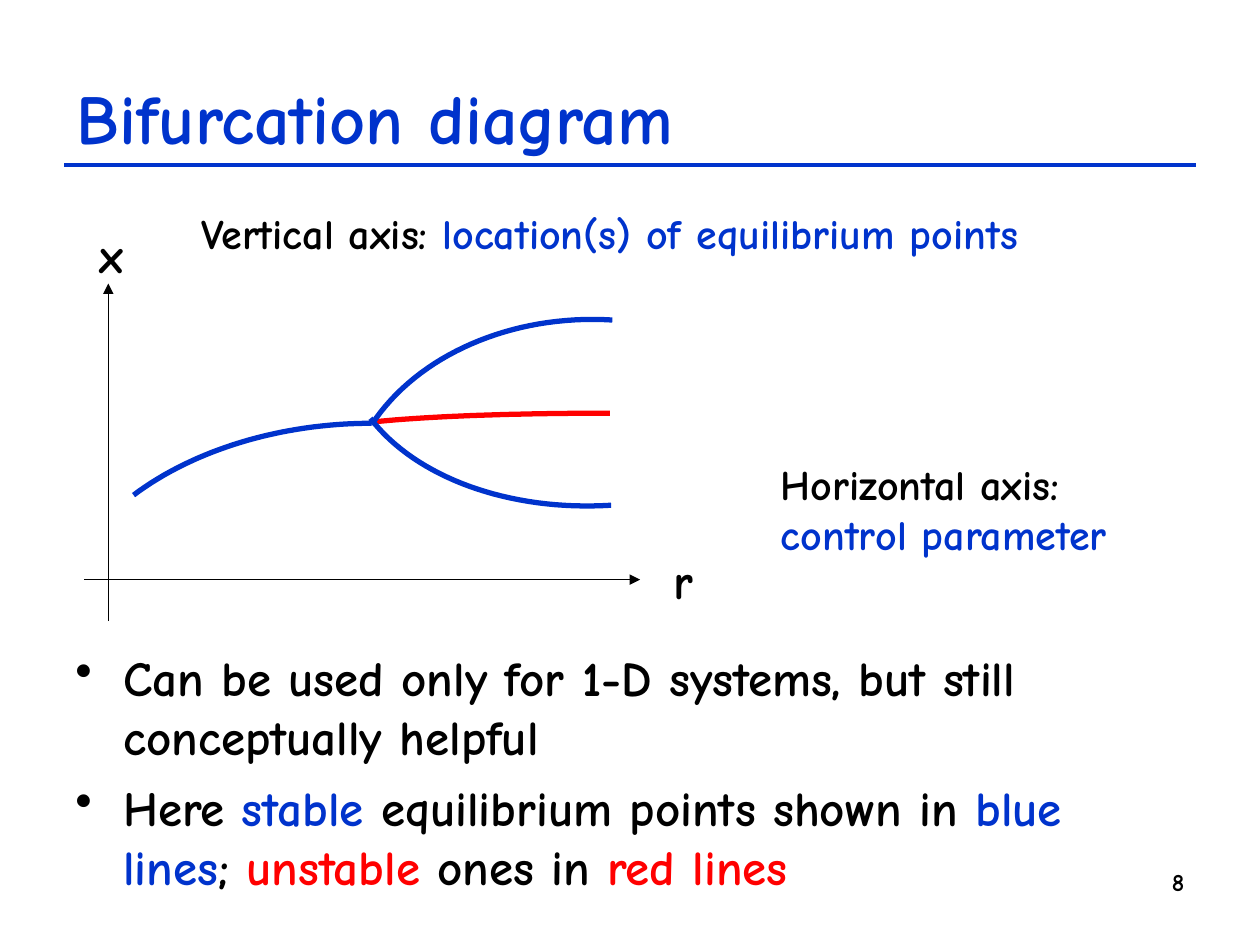
from dataclasses import dataclass

from lxml import etree
from pptx import Presentation
from pptx.dml.color import RGBColor
from pptx.enum.shapes import MSO_CONNECTOR
from pptx.enum.text import MSO_ANCHOR, PP_ALIGN
from pptx.oxml.ns import qn
from pptx.util import Inches, Pt

STRAIGHT = MSO_CONNECTOR.STRAIGHT
LEFT, RIGHT = PP_ALIGN.LEFT, PP_ALIGN.RIGHT
MIDDLE = MSO_ANCHOR.MIDDLE


@dataclass(frozen=True)
class Theme:
    font: str = "Comic Neue"
    black: RGBColor = RGBColor(0, 0, 0)
    blue: RGBColor = RGBColor(0x00, 0x33, 0xCC)
    red: RGBColor = RGBColor(0xFF, 0, 0)
    title: Pt = Pt(40)
    body: Pt = Pt(28)
    label: Pt = Pt(24)
    number: Pt = Pt(14)


theme = Theme()
presentation = Presentation()
presentation.slide_width, presentation.slide_height = Inches(10), Inches(7.5)
slide = presentation.slides.add_slide(presentation.slide_layouts[5])


def fill_text(shape, box, paragraphs, size, wrap=False, align=LEFT, bullets=False):
    """Place the shape and write paragraphs, each a list of (text, colour) runs."""
    shape.left, shape.top, shape.width, shape.height = map(Inches, box)
    frame = shape.text_frame
    frame.word_wrap = wrap
    for index, runs in enumerate(paragraphs):
        paragraph = frame.add_paragraph() if index else frame.paragraphs[0]
        paragraph.alignment = align
        if bullets:
            properties = paragraph._p.get_or_add_pPr()
            properties.set("marL", str(Inches(0.38)))
            properties.set("indent", str(-Inches(0.38)))
            etree.SubElement(properties, qn("a:buChar"), char="•")
            paragraph.space_before = Pt(7 if index else 0)
        for text, colour in runs:
            run = paragraph.add_run()
            run.text = text
            run.font.name, run.font.size, run.font.bold = theme.font, size, True
            run.font.color.rgb = colour


def add_line(start, end, colour, width, arrow=False):
    line = slide.shapes.add_connector(STRAIGHT, *map(Inches, start + end))
    line.line.color.rgb = colour
    line.line.width = Pt(width)
    if arrow:
        etree.SubElement(line.line._get_or_add_ln(), qn("a:tailEnd"), type="triangle")
    etree.SubElement(line._element.spPr, qn("a:effectLst"))


# Title and rule
title = slide.shapes.title
fill_text(title, (0.51, 0.3, 8.99, 1.25),
          [[("Bifurcation diagram", theme.blue)]], theme.title, wrap=True)
title.text_frame.vertical_anchor = MIDDLE
add_line((0.51, 1.31), (9.49, 1.31), theme.blue, 2.25)

# Axes
add_line((0.67, 4.6), (5.08, 4.6), theme.black, 0.75, arrow=True)
add_line((0.86, 4.93), (0.86, 2.25), theme.black, 0.75, arrow=True)

# Branches: four Bézier control points each
branches = [
    (theme.red, [(4.84, 3.28), (4.13, 3.28), (3.44, 3.3), (2.95, 3.35)]),
    (theme.blue, [(2.95, 3.36), (2.23, 3.36), (1.54, 3.57), (1.06, 3.93)]),
    (theme.blue, [(4.86, 2.54), (4.06, 2.49), (3.31, 2.82), (2.95, 3.37)]),
    (theme.blue, [(4.85, 4.01), (4.04, 4.06), (3.3, 3.79), (2.94, 3.32)]),
]
STEPS = 32
for colour, controls in branches:
    points = []
    for step in range(STEPS + 1):
        t = step / STEPS
        weights = ((1 - t) ** 3, 3 * t * (1 - t) ** 2, 3 * t ** 2 * (1 - t), t ** 3)
        points.append(tuple(
            Inches(sum(weight * value for weight, value in zip(weights, values)))
            for values in zip(*controls)))
    builder = slide.shapes.build_freeform(*points[0])
    builder.add_line_segments(points[1:], close=False)
    curve = builder.convert_to_shape()
    curve.shadow.inherit = False
    curve.fill.background()
    curve.line.color.rgb = colour
    curve.line.width = Pt(3)

# Labels
labels = [
    ((5.25, 4.32, 0.35, 0.57), [[("r", theme.black)]], theme.body),
    ((0.69, 1.73, 0.39, 0.57), [[("x", theme.black)]], theme.body),
    ((6.1, 3.59, 2.8, 0.9), [[("Horizontal axis:", theme.black)],
                             [("control parameter", theme.blue)]], theme.label),
    ((1.5, 1.6, 6.7, 0.5), [[("Vertical axis: ", theme.black),
                             ("location(s) of equilibrium points", theme.blue)]],
     theme.label),
]
for box, paragraphs, size in labels:
    fill_text(slide.shapes.add_textbox(0, 0, 0, 0), box, paragraphs, size)

# Bullets and slide number
bullets = [
    [("Can be used only for 1-D systems, but still conceptually helpful", theme.black)],
    [("Here ", theme.black), ("stable", theme.blue),
     (" equilibrium points shown in ", theme.black), ("blue lines", theme.blue),
     (";", theme.black), (" unstable", theme.red), (" ones in ", theme.black),
     ("red lines", theme.red)],
]
fill_text(slide.shapes.add_textbox(0, 0, 0, 0), (0.5, 5.09, 9, 2.12),
          bullets, theme.body, wrap=True, bullets=True)
fill_text(slide.shapes.add_textbox(0, 0, 0, 0), (8.54, 6.83, 0.96, 0.52),
          [[("8", theme.black)]], theme.number, wrap=True, align=RIGHT)

presentation.save("out.pptx")
